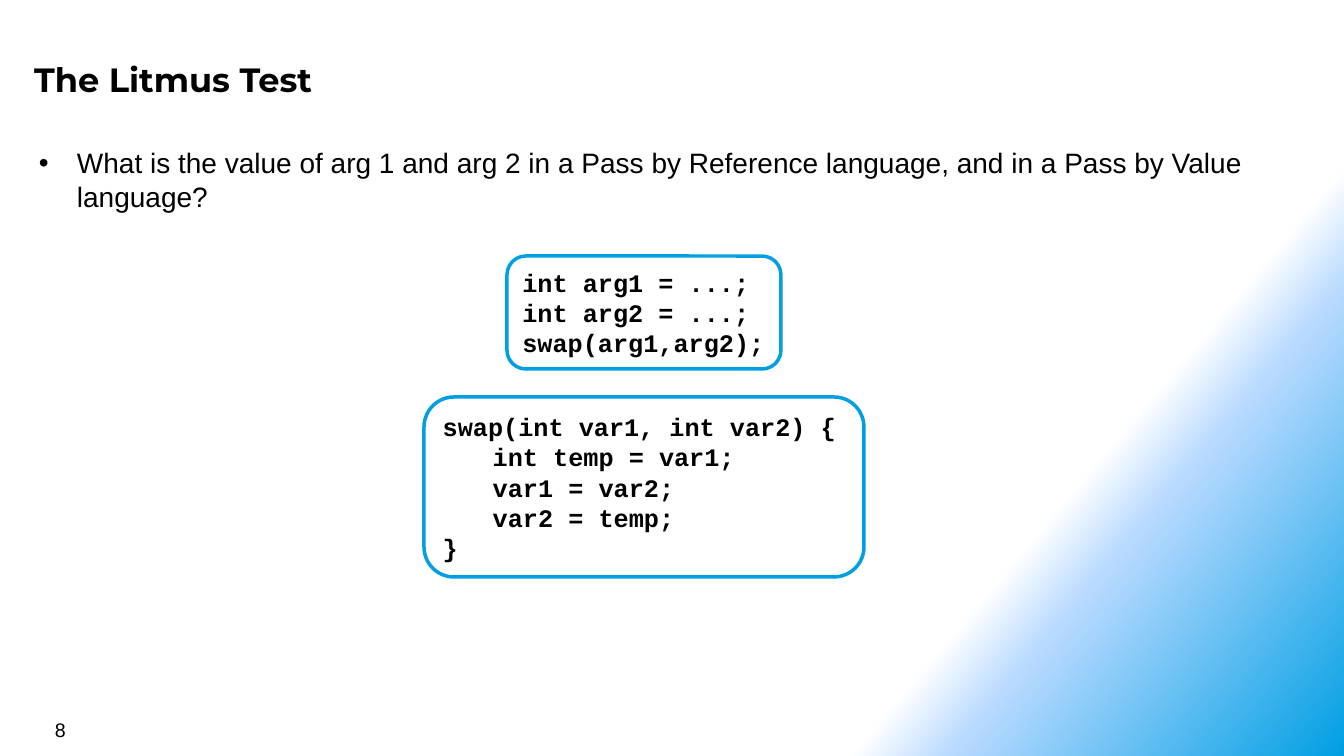
from pptx import Presentation
from pptx.dml.color import RGBColor
from pptx.enum.shapes import MSO_SHAPE
from pptx.enum.text import MSO_ANCHOR, PP_ALIGN
from pptx.oxml import parse_xml
from pptx.oxml.ns import nsdecls, qn
from pptx.util import Pt

BLACK = RGBColor(0x00, 0x00, 0x00)
WHITE = RGBColor(0xFF, 0xFF, 0xFF)
PALE_BLUE = RGBColor(0xB9, 0xDA, 0xFF)
BLUE = RGBColor(0x00, 0x9F, 0xE3)
EMU_PER_PX = 914400 / 100.8


def px(length):
    return round(length * EMU_PER_PX)


def write(frame, text, font="Arial", size=20, bold=False, inset=None, anchor=MSO_ANCHOR.TOP):
    frame.word_wrap = True
    frame.vertical_anchor = anchor
    if inset is not None:
        frame.margin_left = frame.margin_right = px(inset)
        frame.margin_top = frame.margin_bottom = px(inset)
    for index, line in enumerate(text.split("\n")):
        paragraph = frame.add_paragraph() if index else frame.paragraphs[0]
        paragraph.alignment = PP_ALIGN.LEFT
        run = paragraph.add_run()
        run.text = line
        run.font.name = font
        run.font.size = Pt(size)
        run.font.bold = bold
        run.font.color.rgb = BLACK
    return frame


class SlideBuilder:
    code_style = dict(font="Courier New", size=18, bold=True, anchor=MSO_ANCHOR.MIDDLE)
    outline_width = Pt(2.5)
    tab_width = 50
    bullet_indent = 38

    def __init__(self, slide):
        self.slide = slide

    def gradient_background(self, stops, angle):
        self.slide.background.fill.gradient()
        default = next(self.slide.element.iter(qn("a:gradFill")))
        stop_xml = "".join(
            f'<a:gs pos="{position * 1000}"><a:srgbClr val="{color}">'
            f'<a:alpha val="{opacity * 1000}"/></a:srgbClr></a:gs>'
            for position, color, opacity in stops
        )
        gradient = parse_xml(
            f'<a:gradFill {nsdecls("a")} rotWithShape="1"><a:gsLst>{stop_xml}</a:gsLst>'
            f'<a:lin ang="{angle * 60000}" scaled="0"/></a:gradFill>'
        )
        default.getparent().replace(default, gradient)

    def text(self, left, top, width, height, content, **style):
        box = self.slide.shapes.add_textbox(px(left), px(top), px(width), px(height))
        return write(box.text_frame, content, **style)

    def bullet(self, left, top, width, height, content, **style):
        frame = self.text(left, top, width, height, content, **style)
        for paragraph in frame.paragraphs:
            properties = paragraph._p.get_or_add_pPr()
            properties.set("marL", str(px(self.bullet_indent)))
            properties.set("indent", str(-px(self.bullet_indent)))
            properties.append(parse_xml(f'<a:buFont {nsdecls("a")} typeface="Arial"/>'))
            properties.append(parse_xml(f'<a:buChar {nsdecls("a")} char="•"/>'))

    def code(self, left, top, width, height, content):
        panel = self.slide.shapes.add_shape(
            MSO_SHAPE.ROUNDED_RECTANGLE, px(left), px(top), px(width), px(height)
        )
        panel.shadow.inherit = False
        panel.fill.background()
        panel.line.color.rgb = BLUE
        panel.line.width = self.outline_width
        frame = write(panel.text_frame, content, **self.code_style)
        for paragraph in frame.paragraphs:
            paragraph._p.get_or_add_pPr().append(parse_xml(
                f'<a:tabLst {nsdecls("a")}><a:tab pos="{px(self.tab_width)}" algn="l"/></a:tabLst>'
            ))


def main():
    deck = Presentation()
    deck.slide_width, deck.slide_height = px(1344), px(756)
    builder = SlideBuilder(deck.slides.add_slide(deck.slide_layouts[6]))

    builder.gradient_background([(75, WHITE, 100), (80, PALE_BLUE, 50), (100, BLUE, 100)], 40)
    builder.text(45, 713, 313, 33, "8", size=14)
    builder.text(26, 51, 1236, 55, "The Litmus Test", font="Montserrat", size=24, bold=True, inset=8)
    builder.bullet(
        29, 141, 1262, 231,
        "What is the value of arg 1 and arg 2 in a Pass by Reference language, "
        "and in a Pass by Value language?",
    )
    builder.code(507, 256, 274, 113, "int arg1 = ...;\nint arg2 = ...;\nswap(arg1,arg2);")
    builder.code(
        424, 397, 440, 180,
        "swap(int var1, int var2) {\n\tint temp = var1;\n\tvar1 = var2;\n\tvar2 = temp;\n}",
    )
    deck.save("out.pptx")


if __name__ == "__main__":
    main()
